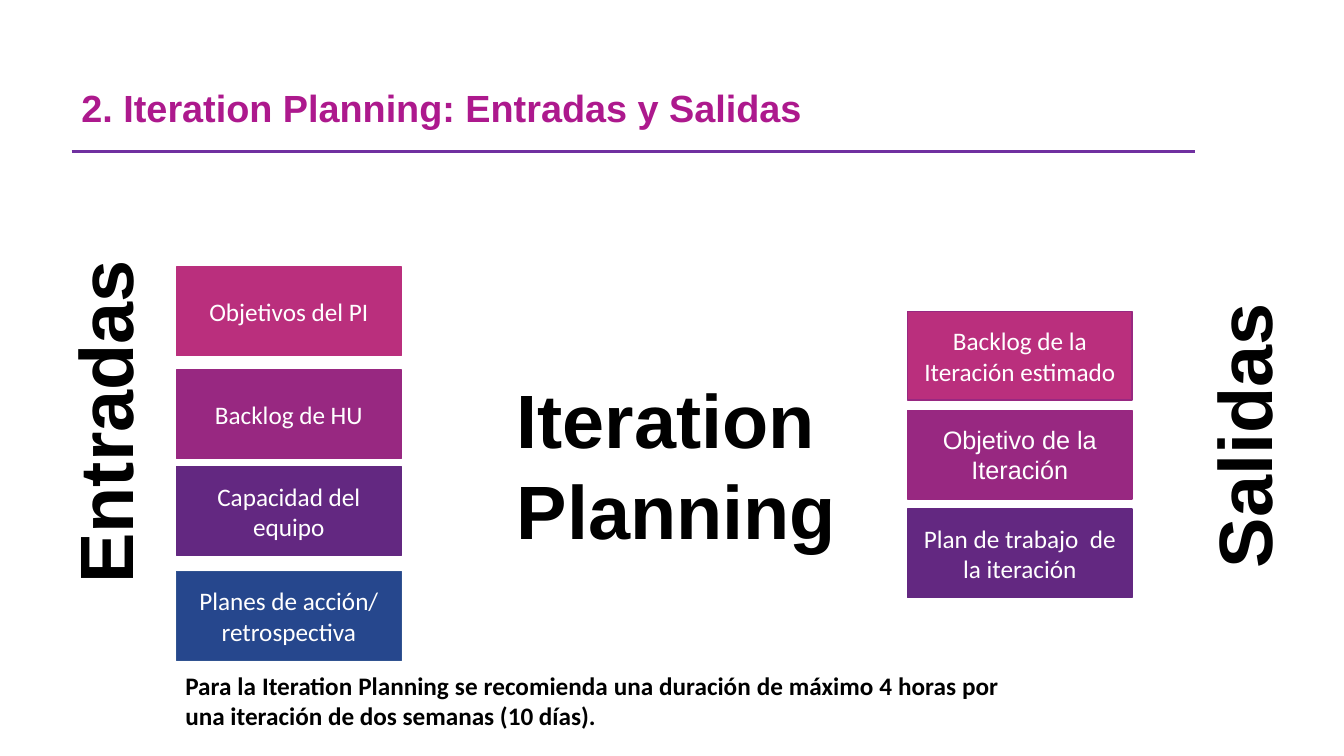
from lxml import etree
from pptx import Presentation
from pptx.dml.color import RGBColor
from pptx.enum.shapes import MSO_CONNECTOR, MSO_SHAPE
from pptx.enum.text import MSO_ANCHOR, MSO_AUTO_SIZE, PP_ALIGN
from pptx.oxml.ns import qn
from pptx.util import Inches, Pt

RECT, STRAIGHT = MSO_SHAPE.RECTANGLE, MSO_CONNECTOR.STRAIGHT
LEFT, CENTER, JUSTIFY = PP_ALIGN.LEFT, PP_ALIGN.CENTER, PP_ALIGN.JUSTIFY
TOP, MIDDLE = MSO_ANCHOR.TOP, MSO_ANCHOR.MIDDLE
GROW, FIXED = MSO_AUTO_SIZE.SHAPE_TO_FIT_TEXT, MSO_AUTO_SIZE.NONE

PINK, MAGENTA, PURPLE, BLUE, BLUE_EDGE = "BA2F7D", "982881", "632881", "26478D", "325491"
BLACK, WHITE = "000000", "FFFFFF"


def rgb(value):
    return RGBColor.from_string(value)


class SlideBuilder:
    heading_font, body_font = "Arial", "Calibri"
    body_size, banner_size = 18, 54
    card_width, card_height = 2.23, 0.88

    def __init__(self, slide):
        self.slide = slide

    def set_text(self, shape, text, size, font, color, bold=False, align=LEFT, anchor=TOP):
        frame = shape.text_frame
        frame.text = text
        frame.vertical_anchor = anchor
        for paragraph in frame.paragraphs:
            paragraph.alignment = align
            for run in paragraph.runs:
                run.font.size, run.font.name, run.font.bold = Pt(size), font, bold
                run.font.color.rgb = rgb(color)

    def label(self, box, text, size, font, color, wrap=True, fit=GROW, **style):
        label = self.slide.shapes.add_textbox(*map(Inches, box))
        label.text_frame.word_wrap = wrap
        label.text_frame.auto_size = fit
        self.set_text(label, text, size, font, color, bold=True, **style)
        return label

    def banner(self, box, text, outline, rotation=0):
        banner = self.label(box, text, self.banner_size, self.heading_font, BLACK,
                            wrap=False, align=CENTER)
        banner.rotation = rotation
        # White outline around the letters
        for paragraph in banner.text_frame.paragraphs:
            for run in paragraph.runs:
                edge = etree.Element(qn("a:ln"), w=str(Pt(outline)))
                fill = etree.SubElement(edge, qn("a:solidFill"))
                etree.SubElement(fill, qn("a:srgbClr"), val=WHITE)
                run.font._element.insert(0, edge)

    def card(self, left, top, text, fill, line, font):
        card = self.slide.shapes.add_shape(
            RECT, *map(Inches, (left, top, self.card_width, self.card_height)))
        card.shadow.inherit = False
        card.fill.solid()
        card.fill.fore_color.rgb = rgb(fill)
        card.line.color.rgb = rgb(line)
        card.line.width = Pt(1)
        self.set_text(card, text, self.body_size, font, WHITE, align=CENTER, anchor=MIDDLE)

    def rule(self, left, right, y, color, width):
        rule = self.slide.shapes.add_connector(STRAIGHT, *map(Inches, (left, y, right, y)))
        rule.line.color.rgb = rgb(color)
        rule.line.width = Pt(width)
        etree.SubElement(rule._element.spPr, qn("a:effectLst"))


def main():
    deck = Presentation()
    deck.slide_width, deck.slide_height = Inches(13.33), Inches(7.5)
    builder = SlideBuilder(deck.slides.add_slide(deck.slide_layouts[6]))
    heading, body = builder.heading_font, builder.body_font

    # Title and rule
    title = builder.label((0.71, 0.79, 10.33, 0.61), "2. Iteration Planning: Entradas y Salidas",
                          27, heading, "AD198D", fit=FIXED, anchor=MIDDLE)
    title.text_frame.paragraphs[0].line_spacing = 0.9
    builder.rule(0.71, 11.85, 1.5, "7030A0", 2.25)

    # Inputs, unevenly spaced
    inputs = [
        (2.65, "Objetivos del PI", PINK, PINK),
        (3.67, "Backlog de HU", MAGENTA, MAGENTA),
        (4.63, "Capacidad del equipo", PURPLE, PURPLE),
        (5.67, "Planes de acción/ retrospectiva", BLUE, BLUE_EDGE),
    ]
    for top, text, fill, line in inputs:
        builder.card(1.75, top, text, fill, line, body)

    # Outputs, evenly spaced
    outputs = [
        ("Backlog de la Iteración estimado", PINK, MAGENTA, body),
        ("Objetivo de la Iteración", MAGENTA, MAGENTA, heading),
        ("Plan de trabajo  de la iteración", PURPLE, PURPLE, body),
    ]
    output_top, output_step = 3.09, 0.98
    for row, (text, fill, line, font) in enumerate(outputs):
        builder.card(9, output_top + row * output_step, text, fill, line, font)

    # Central name and side labels
    builder.banner((4.8, 3.65, 3.61, 1.92), "Iteration\n Planning", 1.06)
    builder.banner((-0.69, 3.68, 3.44, 1.01), "Entradas", 0.75, rotation=270)
    builder.banner((10.9, 3.82, 2.85, 1.01), "Salidas", 0.75, rotation=270)

    # Recommended duration
    builder.label((1.74, 6.6, 8.27, 0.71),
                  "Para la Iteration Planning se recomienda una duración de máximo 4 horas "
                  "por una iteración de dos semanas (10 días).",
                  builder.body_size, body, BLACK, align=JUSTIFY)

    deck.save("out.pptx")


if __name__ == "__main__":
    main()
